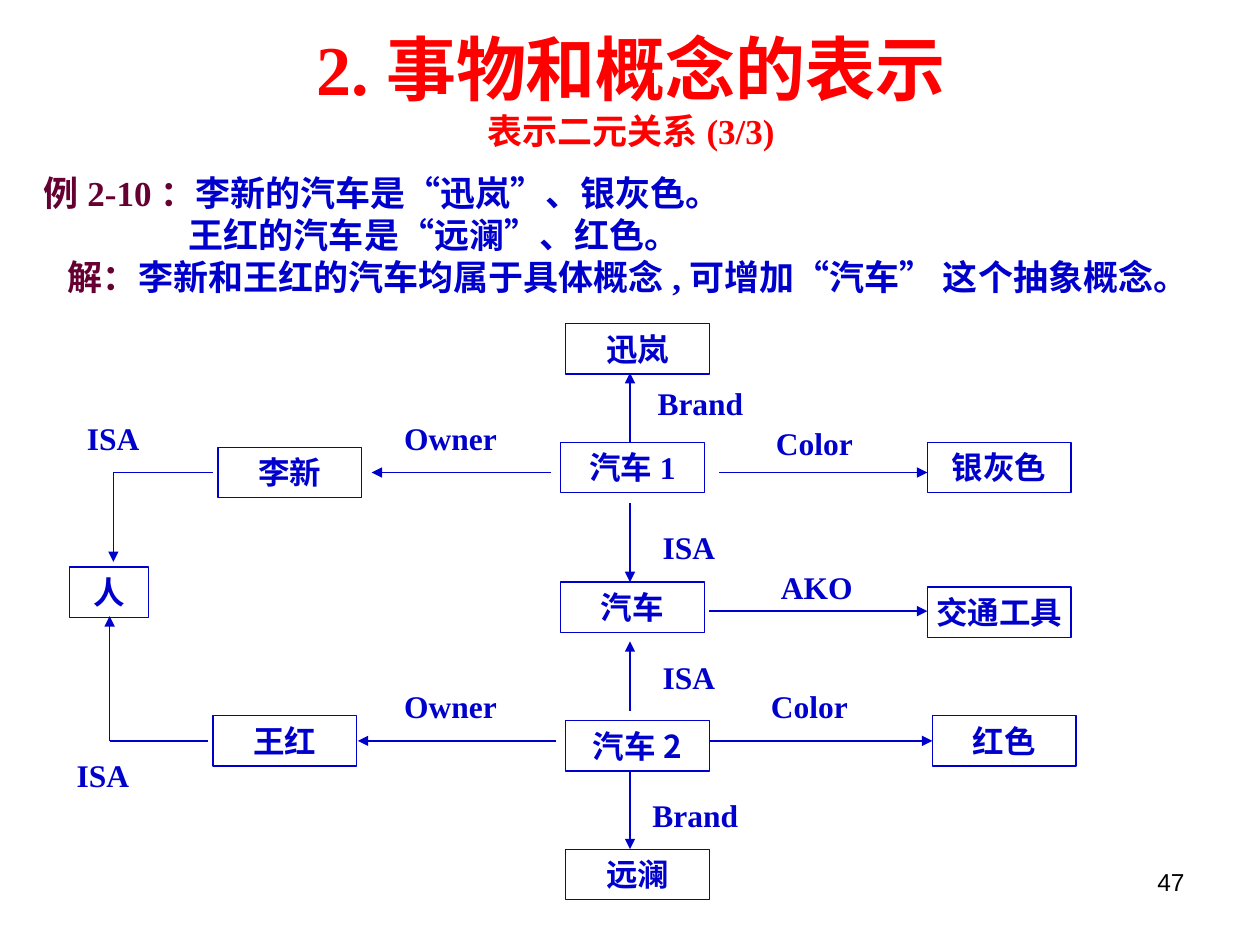
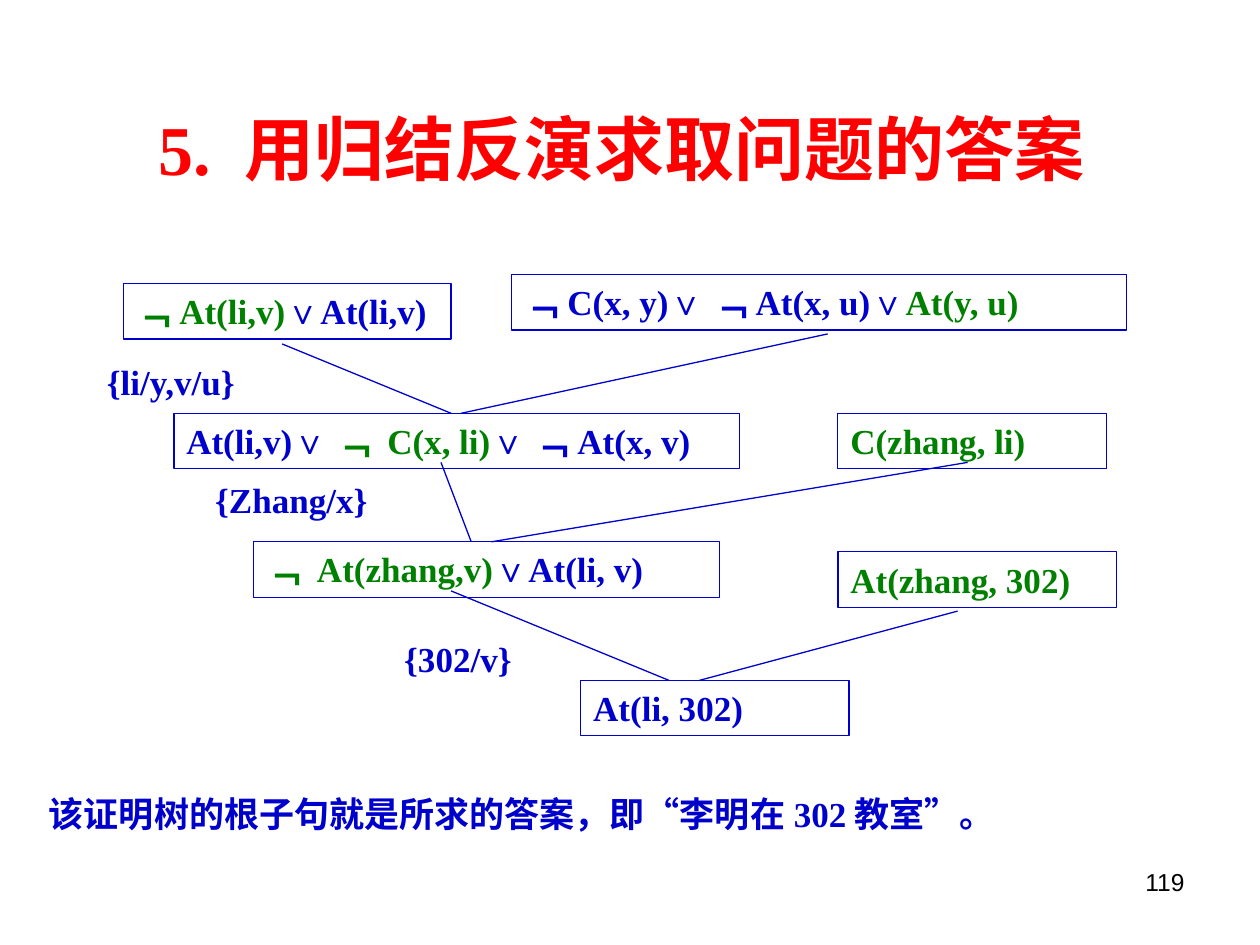
from dataclasses import dataclass
from typing import NamedTuple

from lxml import etree
from pptx import Presentation
from pptx.dml.color import RGBColor
from pptx.enum.shapes import MSO_CONNECTOR, MSO_SHAPE
from pptx.enum.text import MSO_ANCHOR, PP_ALIGN
from pptx.oxml.ns import qn
from pptx.util import Inches, Pt

LEFT, CENTER, RIGHT = PP_ALIGN.LEFT, PP_ALIGN.CENTER, PP_ALIGN.RIGHT
TOP, MIDDLE = MSO_ANCHOR.TOP, MSO_ANCHOR.MIDDLE
RECT, STRAIGHT = MSO_SHAPE.RECTANGLE, MSO_CONNECTOR.STRAIGHT


@dataclass(frozen=True)
class Theme:
    blue: str = "0000CC"
    red: str = "FF0000"
    green: str = "008000"
    plum: str = "660033"
    black: str = "000000"
    serif: str = "Times New Roman"
    sans: str = "Arial"
    asian: str = "Noto Sans CJK SC"
    title: int = 40
    body: int = 20
    label: int = 18
    page: int = 14
    line: float = 0.75


THEME = Theme()


class Run(NamedTuple):
    text: str
    color: str = THEME.blue


class Box(NamedTuple):
    left: float
    top: float
    width: float
    height: float


class Node(NamedTuple):
    text: str
    left: float
    top: float
    width: float = 1.14
    font: str = THEME.sans


class Label(NamedTuple):
    text: str
    left: float
    top: float
    width: float


class Link(NamedTuple):
    x1: float
    y1: float
    x2: float
    y2: float
    arrow: bool = True


class Clause(NamedTuple):
    runs: list[Run]
    left: float
    top: float
    width: float


def write(frame, text, *, size=THEME.body, color=THEME.blue, font=THEME.serif,
          bold=True, align=LEFT, indent=0.0, spacing=None, first=True):
    para = frame.paragraphs[0] if first else frame.add_paragraph()
    para.alignment = align
    if indent:
        para._p.get_or_add_pPr().set("marL", str(Inches(indent)))
    if spacing:
        para.line_spacing = spacing
    runs = [Run(text, color)] if isinstance(text, str) else text
    for part in runs:
        run = para.add_run()
        run.text = part.text
        run.font.name = font
        run.font.size = Pt(size)
        run.font.bold = bold
        run.font.color.rgb = RGBColor.from_string(part.color)
        asian = etree.SubElement(run._r.get_or_add_rPr(), qn("a:ea"))
        asian.set("typeface", THEME.asian)


def setup(frame, side: float = 0.1, anchor=TOP):
    frame.word_wrap = True
    frame.vertical_anchor = anchor
    frame.margin_left = frame.margin_right = Inches(side)
    frame.margin_top = frame.margin_bottom = Inches(0.05)
    return frame


def add_text(slide, box: Box, anchor=TOP):
    shape = slide.shapes.add_textbox(*map(Inches, box))
    return setup(shape.text_frame, anchor=anchor)


def add_rect(slide, box: Box, side: float = 0.1):
    shape = slide.shapes.add_shape(RECT, *map(Inches, box))
    shape.shadow.inherit = False
    shape.fill.background()
    shape.line.color.rgb = RGBColor.from_string(THEME.blue)
    shape.line.width = Pt(THEME.line)
    return setup(shape.text_frame, side)


def add_link(slide, link: Link) -> None:
    ends = map(Inches, link[:4])
    line = slide.shapes.add_connector(STRAIGHT, *ends)
    line.line.color.rgb = RGBColor.from_string(THEME.blue)
    line.line.width = Pt(THEME.line)
    if link.arrow:
        tail = etree.SubElement(line.line._get_or_add_ln(), qn("a:tailEnd"))
        tail.set("type", "triangle")
    etree.SubElement(line._element.spPr, qn("a:effectLst"))


def add_node(slide, node: Node) -> None:
    frame = add_rect(slide, Box(node.left, node.top, node.width, 0.4), 0.02)
    write(frame, node.text, size=THEME.label, font=node.font, align=CENTER)


def add_label(slide, label: Label, size: int, height: float) -> None:
    box = Box(label.left, label.top, label.width, height)
    write(add_text(slide, box), label.text, size=size)


def add_clause(slide, clause: Clause) -> None:
    box = Box(clause.left, clause.top, clause.width, 0.44)
    write(add_rect(slide, box), clause.runs)


def start(deck, page: str, title: str, box: Box, under: str = ""):
    slide = deck.slides.add_slide(deck.slide_layouts[6])
    foot = add_text(slide, Box(7.17, 6.83, 2.33, 0.52))
    write(foot, page, size=THEME.page, color=THEME.black, font=THEME.sans,
          bold=False, align=RIGHT)
    head = add_text(slide, box, MIDDLE)
    write(head, title, size=THEME.title, color=THEME.red, align=CENTER)
    if under:
        write(head, under, color=THEME.red, align=CENTER, first=False)
    return slide


NODES = [
    Node("迅岚", 4.49, 2.57),
    Node("汽车1", 4.45, 3.51, font=THEME.serif),
    Node("汽车", 4.45, 4.62),
    Node("汽车2", 4.49, 5.72, font=THEME.asian),
    Node("远澜", 4.49, 6.74),
    Node("银灰色", 7.36, 3.51),
    Node("交通工具", 7.36, 4.66),
    Node("红色", 7.4, 5.68),
    Node("李新", 1.73, 3.55),
    Node("王红", 1.69, 5.68),
    Node("人", 0.55, 4.5, 0.63),
]
LABELS = [
    Label("Brand", 5.12, 3.0, 1.18),
    Label("Brand", 5.08, 6.27, 1.18),
    Label("Owner", 3.11, 3.28, 1.1),
    Label("Owner", 3.11, 5.4, 1.1),
    Label("Color", 6.06, 3.32, 1.1),
    Label("Color", 6.02, 5.4, 1.1),
    Label("AKO", 6.1, 4.46, 0.87),
    Label("ISA", 5.16, 4.14, 0.79),
    Label("ISA", 5.16, 5.17, 0.79),
    Label("ISA", 0.59, 3.28, 0.79),
    Label("ISA", 0.51, 5.95, 0.79),
]
ARROWS = [
    Link(5, 3.51, 5, 2.96),
    Link(5, 3.99, 5, 4.62),
    Link(5, 5.64, 5, 5.09),
    Link(5, 6.11, 5, 6.74),
    Link(4.37, 3.75, 2.95, 3.75),
    Link(5.71, 3.75, 7.36, 3.75),
    Link(5.63, 4.85, 7.36, 4.85),
    Link(4.41, 5.88, 2.84, 5.88),
    Link(5.63, 5.88, 7.4, 5.88),
    Link(1.69, 3.75, 0.9, 3.75, False),
    Link(0.9, 3.75, 0.9, 4.46),
    Link(1.65, 5.88, 0.87, 5.88, False),
    Link(0.87, 5.88, 0.87, 4.89),
]
CLAUSES = [
    Clause([Run("﹁At(li,v)", THEME.green), Run("∨At(li,v)")],
           0.98, 2.25, 2.6),
    Clause([Run("﹁C(x, y)∨﹁At(x, u)∨"), Run("At(y, u)", THEME.green)],
           4.06, 2.18, 4.88),
    Clause([Run("At(li,v)∨"), Run("﹁ C(x, li)", THEME.green),
            Run("∨﹁At(x, v)")], 1.38, 3.28, 4.49),
    Clause([Run("C(zhang, li)", THEME.green)], 6.65, 3.28, 2.13),
    Clause([Run("﹁ At(zhang,v)", THEME.green), Run("∨At(li, v)")],
           2.01, 4.3, 3.7),
    Clause([Run("At(zhang, 302)", THEME.green)], 6.65, 4.38, 2.21),
    Clause([Run("At(li, 302)")], 4.61, 5.4, 2.13),
]
BRANCHES = [
    Link(2.24, 2.73, 3.58, 3.28, False),
    Link(6.57, 2.65, 3.66, 3.28, False),
    Link(3.5, 3.67, 3.74, 4.3, False),
    Link(7.68, 3.67, 3.9, 4.3, False),
    Link(3.58, 4.69, 5.31, 5.4, False),
    Link(7.6, 4.85, 5.55, 5.4, False),
]
SWAPS = [
    Label("{li/y,v/u}", 0.75, 2.81, 1.5),
    Label("{Zhang/x}", 1.61, 3.75, 1.5),
    Label("{302/v}", 3.11, 5.01, 1.1),
]


def draw_net(deck) -> None:
    slide = start(deck, "47", "2.事物和概念的表示", Box(0.51, 0.21, 9, 0.99),
                  "表示二元关系(3/3)")
    for link in ARROWS:
        add_link(slide, link)
    for label in LABELS:
        add_label(slide, label, THEME.label, 0.4)
    for node in NODES:
        add_node(slide, node)
    frame = add_text(slide, Box(0.2, 1.31, 9.61, 1.1))
    write(frame, [Run("例2-10：", THEME.plum),
                  Run("李新的汽车是“迅岚”、银灰色。")], indent=0.05)
    write(frame, "王红的汽车是“远澜”、红色。", indent=1.2, first=False)
    write(frame, [Run("解：", THEME.plum),
                  Run("李新和王红的汽车均属于具体概念,可增加“汽车” 这个抽象概念。")],
          indent=0.24, first=False)


def draw_proof(deck) -> None:
    slide = start(deck, "119", "5. 用归结反演求取问题的答案",
                  Box(0.43, 0.6, 9, 1.14))
    for clause in CLAUSES:
        add_clause(slide, clause)
    for link in BRANCHES:
        add_link(slide, link)
    for label in SWAPS:
        add_label(slide, label, THEME.body, 0.44)
    frame = add_text(slide, Box(0.24, 6.19, 9.53, 0.49))
    write(frame, "该证明树的根子句就是所求的答案，即“李明在302教室”。",
          indent=0.05, spacing=1.15)


def main() -> None:
    deck = Presentation()
    deck.slide_width, deck.slide_height = Inches(10), Inches(7.5)
    draw_net(deck)
    draw_proof(deck)
    deck.save("out.pptx")


if __name__ == "__main__":
    main()
